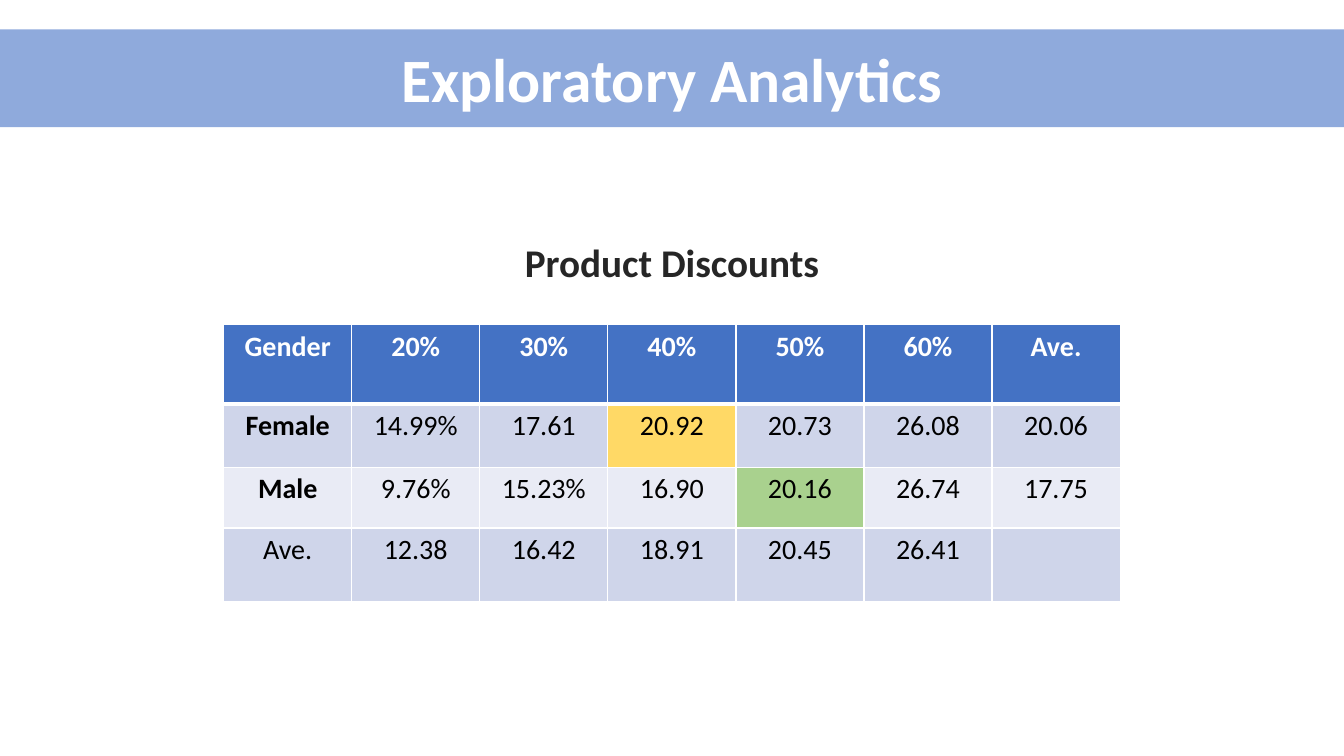
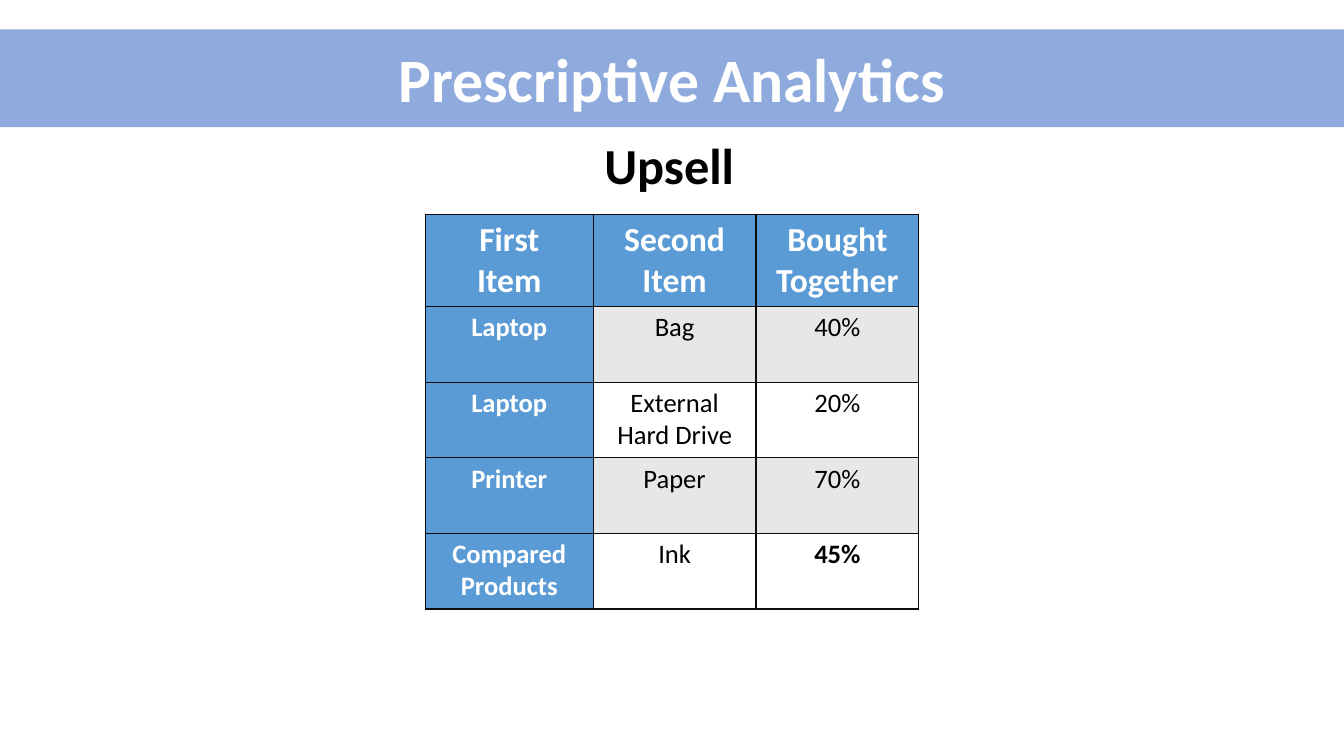
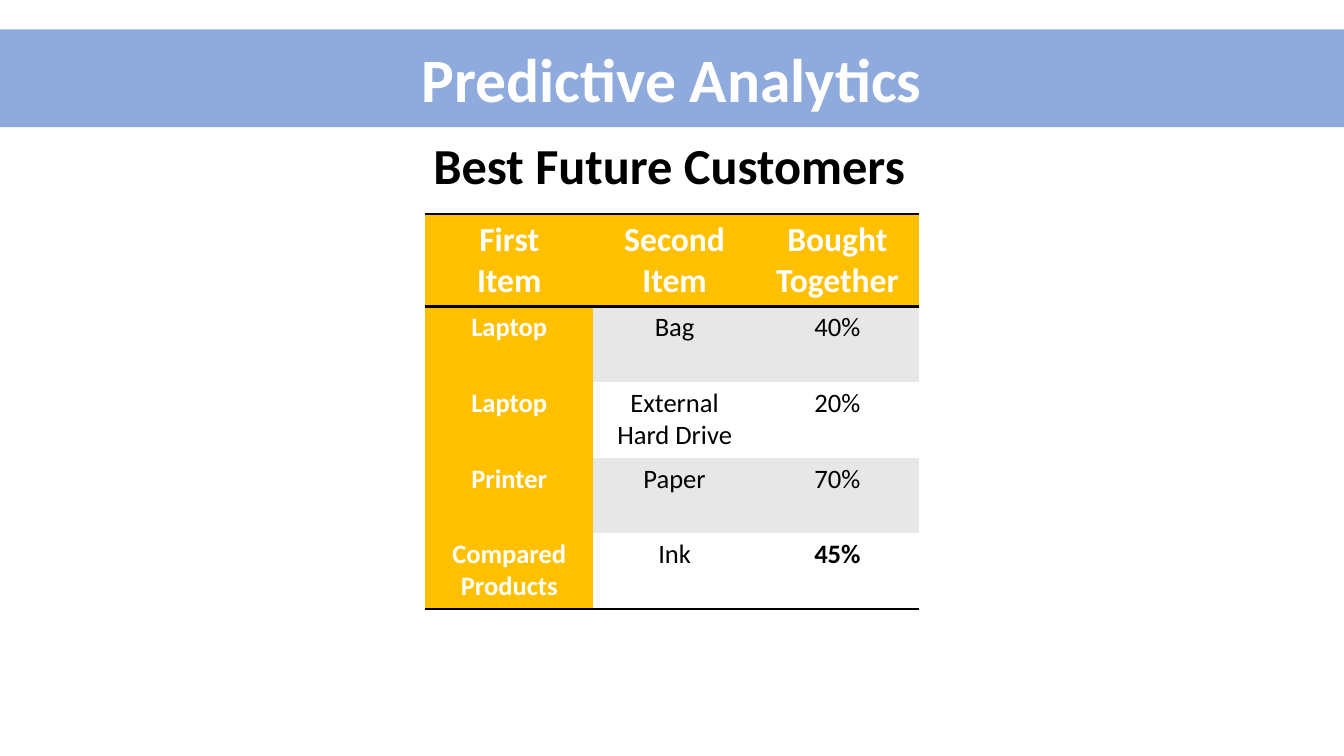
from lxml import etree
from pptx import Presentation
from pptx import util as u
from pptx.dml import color
from pptx.enum import shapes, text
from pptx.oxml import ns

PX = 9525  # EMU per px, 96 px to the inch
WIDTH, HEIGHT = 1280, 720
TITLE_WIDTH = 600
FONT = "Calibri"
COLORS = {
    "white": "FFFFFF", "black": "000000", "ink": "262626", "rule": "0D0D0D",
    "band": "8FAADC", "blue": "4472C4", "sky": "5B9BD5", "gold": "FFC000",
    "lavender": "CFD5EA", "mist": "E9EBF5", "gray": "E7E7E7",
    "yellow": "FFD966", "green": "A9D18E",
}


def rgb(name):
    return color.RGBColor.from_string(COLORS[name])


class Slides:
    """Holds the shared style and the current page."""

    def __init__(self):
        self.deck = Presentation()
        self.deck.slide_width = u.Emu(WIDTH * PX)
        self.deck.slide_height = u.Emu(HEIGHT * PX)
        self.page = None

    def style(self, frame, size, ink, bold):
        """Format every paragraph of a text frame the same way."""
        for para in frame.paragraphs:
            para.alignment = text.PP_ALIGN.CENTER
            para.font.name = FONT
            para.font.size = u.Pt(size)
            para.font.bold = bold
            para.font.color.rgb = rgb(ink)

    def new_page(self, title):
        """Start a page with the colour band and its centred title."""
        self.page = self.deck.slides.add_slide(self.deck.slide_layouts[5])
        band = self.page.shapes.add_shape(
            shapes.MSO_SHAPE.RECTANGLE, 0, 28 * PX, WIDTH * PX, 93 * PX)
        band.shadow.inherit = False
        band.fill.solid()
        band.fill.fore_color.rgb = rgb("band")
        band.line.fill.background()

        box = self.page.shapes.title
        box.element.addprevious(band.element)  # band behind the title
        box.left, box.top = (WIDTH - TITLE_WIDTH) // 2 * PX, 34 * PX
        box.width, box.height = TITLE_WIDTH * PX, 81 * PX
        frame = box.text_frame
        frame.text = title
        frame.word_wrap = True
        frame.auto_size = text.MSO_AUTO_SIZE.NONE
        frame.vertical_anchor = text.MSO_ANCHOR.MIDDLE
        self.style(frame, 44, "white", True)

    def subtitle(self, words, left, top, width, height, size=36, ink="black"):
        box = self.page.shapes.add_textbox(
            left * PX, top * PX, width * PX, height * PX)
        frame = box.text_frame
        frame.text = words
        frame.word_wrap = False
        self.style(frame, size, ink, True)

    def border(self, cell, side, width, ink):
        """Draw one cell side; a width of 0 hides it."""
        line = etree.SubElement(cell._tc.get_or_add_tcPr(), ns.qn("a:ln" + side),
                                w=str(u.Pt(width)))
        if width:
            fill = etree.SubElement(line, ns.qn("a:solidFill"))
            etree.SubElement(fill, ns.qn("a:srgbClr"), val=COLORS[ink])
        else:
            etree.SubElement(line, ns.qn("a:noFill"))

    def table(self, rows, top, widths, heights, head, bands, rule,
              across, down, sizes, side=None, bold=(), marks=None):
        """Add a centred table.

        across lists the widths of the horizontal rules from top to bottom,
        down is the width of all vertical rules, sizes is (header, body),
        side is the fill of the first column, marks maps cells to fills.
        """
        total = sum(widths)
        grid = self.page.shapes.add_table(
            len(rows), len(widths), (WIDTH - total) // 2 * PX, top * PX,
            total * PX, sum(heights) * PX).table
        grid.first_row = grid.horz_banding = False
        for column, width in zip(grid.columns, widths):
            column.width = width * PX
        for line, height in zip(grid.rows, heights):
            line.height = height * PX

        for r, words in enumerate(rows):
            for c, word in enumerate(words):
                cell = grid.cell(r, c)
                edges = {"L": down, "R": down, "T": across[r], "B": across[r + 1]}
                for edge, width in edges.items():
                    self.border(cell, edge, width, rule)
                colored = r == 0 or (c == 0 and side is not None)
                fill = head if r == 0 else side if colored else bands[(r - 1) % 2]
                cell.fill.solid()
                cell.fill.fore_color.rgb = rgb((marks or {}).get((r, c), fill))
                cell.text = word
                self.style(cell.text_frame, sizes[min(r, 1)],
                           "white" if colored else "black",
                           colored or (r, c) in bold)


DISCOUNTS = [
    ["Gender", "20%", "30%", "40%", "50%", "60%", "Ave."],
    ["Female", "14.99%", "17.61", "20.92", "20.73", "26.08", "20.06"],
    ["Male", "9.76%", "15.23%", "16.90", "20.16", "26.74", "17.75"],
    ["Ave.", "12.38", "16.42", "18.91", "20.45", "26.41", ""],
]
PAIRS = [
    ["First\vItem", "Second Item", "Bought Together"],
    ["Laptop", "Bag", "40%"],
    ["Laptop", "External Hard Drive", "20%"],
    ["Printer", "Paper", "70%"],
    ["Compared Products", "Ink", "45%"],
]


def main():
    slides = Slides()

    # Discounts by gender
    slides.new_page("Exploratory Analytics")
    slides.subtitle("Product Discounts", 489, 222, 302, 55, size=28, ink="ink")
    slides.table(DISCOUNTS, 309, [122] * 7, [76, 60, 58, 70], "blue",
                 ("lavender", "mist"), "white", [1, 3, 1, 1, 1], 1, (20, 20),
                 bold={(1, 0), (2, 0)},
                 marks={(1, 3): "yellow", (2, 4): "green"})

    # Items bought together: the same table in two looks
    looks = [
        ("Prescriptive Analytics", "Upsell", 565, 145,
         "sky", "rule", [1] * 6, 1),
        ("Predictive Analytics", "Best Future Customers", 401, 473,
         "gold", "black", [2, 2, 0, 0, 0, 2], 0),
    ]
    for title, words, left, width, fill, rule, across, down in looks:
        slides.new_page(title)
        slides.subtitle(words, left, 123, width, 68)
        slides.table(PAIRS, 204, [160, 155, 155], [88] + [72] * 4, fill,
                     ("gray", "white"), rule, across, down, (24, 19),
                     side=fill, bold={(4, 2)})

    slides.deck.save("out.pptx")


if __name__ == "__main__":
    main()
